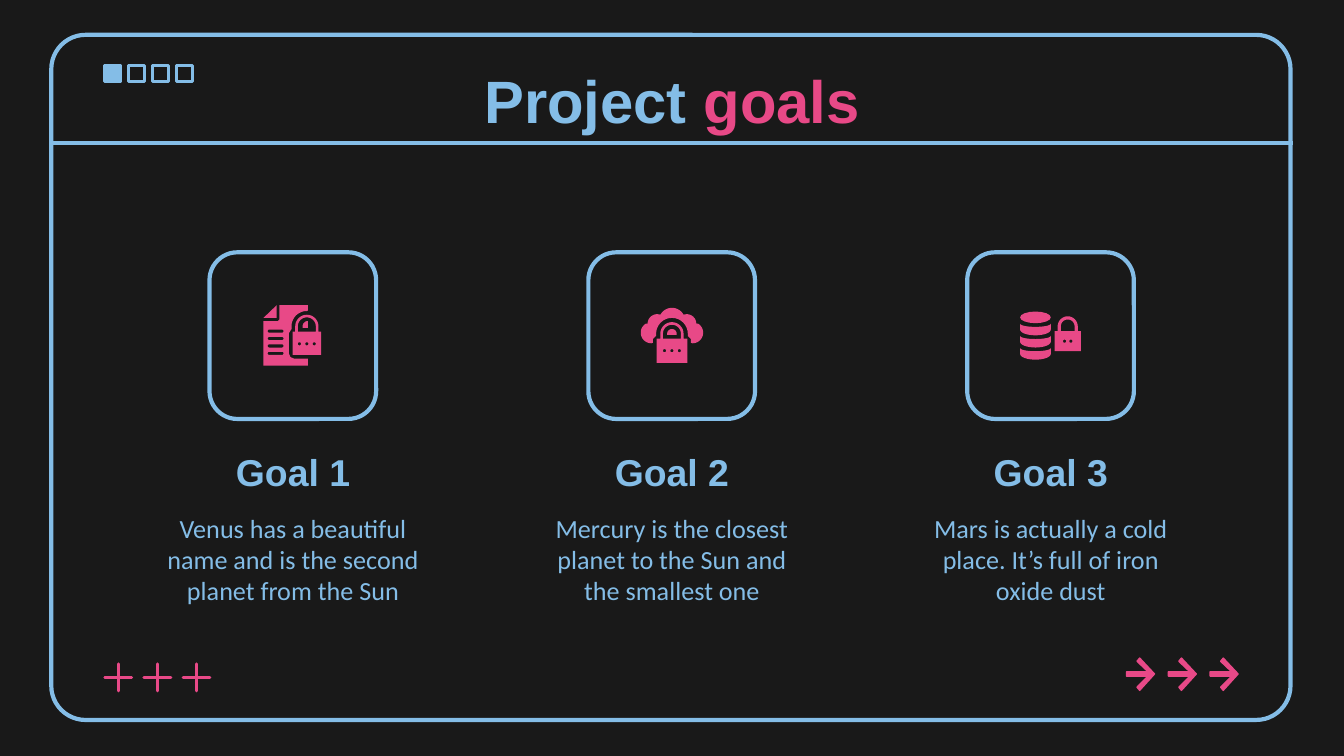
import math

import lxml.etree
import pptx
import pptx.dml.color
import pptx.enum.shapes
import pptx.enum.text
import pptx.oxml.ns
import pptx.util

Cm = pptx.util.Cm
Pt = pptx.util.Pt
SHAPE = pptx.enum.shapes.MSO_SHAPE
ANCHOR = pptx.enum.text.MSO_ANCHOR
CENTER = pptx.enum.text.PP_ALIGN.CENTER

DARK = pptx.dml.color.RGBColor(0x19, 0x19, 0x19)
BLUE = pptx.dml.color.RGBColor(0x84, 0xBD, 0xE7)
PINK = pptx.dml.color.RGBColor(0xE8, 0x49, 0x87)

prs = pptx.Presentation()
prs.slide_width, prs.slide_height = Cm(25.4), Cm(14.29)
s = prs.slides.add_slide(prs.slide_layouts[5])
s.background.fill.solid()
s.background.fill.fore_color.rgb = DARK


def arc(cx, cy, rx, ry, start, end):
    """Points in cm along an ellipse; angles in degrees, clockwise from the right."""
    angles = [math.radians(start + (end - start) * i / 16) for i in range(17)]
    return [(cx + rx * math.cos(a), cy + ry * math.sin(a)) for a in angles]


def draw_pink(*contours):
    """Fill closed contours given in cm; later contours cut holes in the first."""
    builder = None
    for contour in contours:
        points = [(Cm(x), Cm(y)) for x, y in contour]
        if builder is None:
            builder = s.shapes.build_freeform(*points[0])
        else:
            builder.move_to(*points[0])
        builder.add_line_segments(points[1:], close=True)
    sp = builder.convert_to_shape()
    sp.shadow.inherit = False
    sp.fill.solid()
    sp.fill.fore_color.rgb = PINK
    sp.line.fill.background()
    return sp


# Window frame, page squares, goal boxes and plus signs
goal_centers = [5.54 + 7.16 * i for i in range(3)]
# kind, left, top, width, height, corner, line width, line colour, fill colour
outlines = [(SHAPE.ROUNDED_RECTANGLE, 0.97, 0.66, 23.42, 12.95, 0.05, 2.25, BLUE, None)]
outlines += [(SHAPE.RECTANGLE, 1.98 + 0.45 * i, 1.24, 0.31, 0.31, None, 1.5, BLUE,
              BLUE if i == 0 else None) for i in range(4)]
outlines += [(SHAPE.ROUNDED_RECTANGLE, cx - 1.58, 4.77, 3.15, 3.15, 0.167, 2.25, BLUE, None)
             for cx in goal_centers]
outlines += [(SHAPE.STAR_4_POINT, 1.98 + 0.74 * i, 12.55, 0.51, 0.51, 0, 1.5, PINK, PINK)
             for i in range(3)]
for kind, left, top, width, height, corner, weight, color, fill in outlines:
    sp = s.shapes.add_shape(kind, Cm(left), Cm(top), Cm(width), Cm(height))
    sp.shadow.inherit = False
    sp.line.color.rgb = color
    sp.line.width = Pt(weight)
    if corner is not None:
        sp.adjustments[0] = corner
    if fill is None:
        sp.fill.background()
    else:
        sp.fill.solid()
        sp.fill.fore_color.rgb = fill

divider = s.shapes.add_connector(pptx.enum.shapes.MSO_CONNECTOR.STRAIGHT,
                                 Cm(0.94), Cm(2.7), Cm(24.43), Cm(2.7))
divider.line.color.rgb = BLUE
divider.line.width = Pt(2.25)
lxml.etree.SubElement(divider._element.spPr, pptx.oxml.ns.qn("a:effectLst"))

# Title, headings and descriptions
title = s.shapes.title
title.left, title.top, title.width, title.height = Cm(2.01), Cm(1.24), Cm(21.39), Cm(1.57)
texts = [(title, ANCHOR.BOTTOM, "Arial", 32, True, [("Project ", BLUE), ("goals", PINK)])]
goals = [
    ("Goal 1", "Venus has a beautiful name and is the second planet from the Sun"),
    ("Goal 2", "Mercury is the closest planet to the Sun and the smallest one"),
    ("Goal 3", "Mars is actually a cold place. It’s full of iron oxide dust"),
]
for cx, (heading, description) in zip(goal_centers, goals):
    for text, top, height, font, size, bold in (
            (heading, 8.18, 1.47, "Arial", 20, True),
            (description, 9.63, 1.88, "Calibri", 14, False)):
        sp = s.shapes.add_textbox(Cm(cx - 2.7), Cm(top), Cm(5.4), Cm(height))
        texts.append((sp, ANCHOR.MIDDLE, font, size, bold, [(text, BLUE)]))

for sp, anchor, font, size, bold, runs in texts:
    tf = sp.text_frame
    tf.word_wrap = True
    tf.auto_size = pptx.enum.text.MSO_AUTO_SIZE.NONE
    tf.vertical_anchor = anchor
    tf.margin_left = tf.margin_right = tf.margin_top = tf.margin_bottom = Cm(0.25)
    p = tf.paragraphs[0]
    p.alignment = CENTER
    for text, color in runs:
        r = p.add_run()
        r.text = text
        r.font.name = font
        r.font.size = Pt(size)
        r.font.bold = bold
        r.font.color.rgb = color

# Document icon: folded corner, page with text lines
draw_pink([(5.23, 5.77), (5.23, 6.01), (4.98, 6.01)])
page = [(5.28, 5.77), (5.28, 6.04), (5.25, 6.07), (4.98, 6.07), (4.98, 6.91), (5.82, 6.91),
        (5.82, 6.78), (5.56, 6.78), (5.49, 6.75), (5.46, 6.68), (5.46, 6.3), (5.51, 6.22)]
page += arc(5.8, 6.17, 0.29, 0.29, 180, 270) + [(5.82, 5.87), (5.82, 5.77)]
text_lines = [arc(5.09, y, 0.03, 0.03, 90, 270) + arc(5.33, y, 0.03, 0.03, -90, 90)
              for y in (6.26, 6.4, 6.54, 6.68)]
draw_pink(page, *text_lines)
draw_pink(arc(5.82, 6.17, 0.1, 0.1, 180, 270) + [(5.82, 6.2), (5.72, 6.2)])

# Cloud icon, with room for the lock
draw_pink(arc(12.31, 6.29, 0.2, 0.2, 90, 240)
          + arc(12.42, 6.12, 0.18, 0.18, 180, 290)
          + arc(12.7, 6.07, 0.25, 0.25, 205, 335)
          + arc(12.98, 6.12, 0.18, 0.18, 250, 360)
          + arc(13.09, 6.29, 0.2, 0.2, 300, 450)
          + [(13.06, 6.48), (13.06, 6.41), (13, 6.35)]
          + arc(12.7, 6.31, 0.3, 0.3, 360, 180)
          + [(12.4, 6.35), (12.34, 6.41), (12.34, 6.48)])
draw_pink(arc(12.7, 6.31, 0.09, 0.09, 180, 360) + [(12.79, 6.33), (12.61, 6.33)])

# Database icon: lid and three bands
draw_pink(arc(19.57, 6, 0.29, 0.11, 0, 360))
for y in (6.12, 6.35, 6.58):
    draw_pink(arc(19.57, y, 0.29, 0.06, 180, 0) + arc(19.57, y + 0.11, 0.29, 0.11, 0, 180))

# Locks: centre, shackle centre and radii, half width, body top and bottom, dots
locks = [
    (5.8, 6.17, 0.22, 0.17, 0.27, 6.27, 6.71, (-0.14, 0, 0.14), 6.5),
    (12.7, 6.31, 0.22, 0.17, 0.29, 6.4, 6.86, (-0.14, 0, 0.14), 6.63),
    (20.18, 6.17, 0.19, 0.13, 0.25, 6.26, 6.64, (-0.06, 0.06), 6.45),
]
for cx, cy, outer, inner, half, top, bottom, dots, dot_y in locks:
    body = arc(cx, cy, outer, outer, 180, 360) + [
        (cx + outer, top), (cx + half, top), (cx + half, bottom),
        (cx - half, bottom), (cx - half, top), (cx - outer, top)]
    opening = arc(cx, cy, inner, inner, 180, 360) + [(cx + inner, top), (cx - inner, top)]
    draw_pink(body, opening, *[arc(cx + dx, dot_y, 0.03, 0.03, 0, 360) for dx in dots])

# Arrows at the bottom right
arrow = [(0.25, 0), (0.2, 0.06), (0.41, 0.26), (0, 0.26), (0, 0.34),
         (0.41, 0.34), (0.2, 0.55), (0.25, 0.61), (0.53, 0.3)]
for i in range(3):
    sp = draw_pink([(21.29 + 0.79 * i + x, 12.44 + y) for x, y in arrow])
    sp.line.color.rgb = PINK
    sp.line.width = Pt(0.75)

prs.save("out.pptx")
